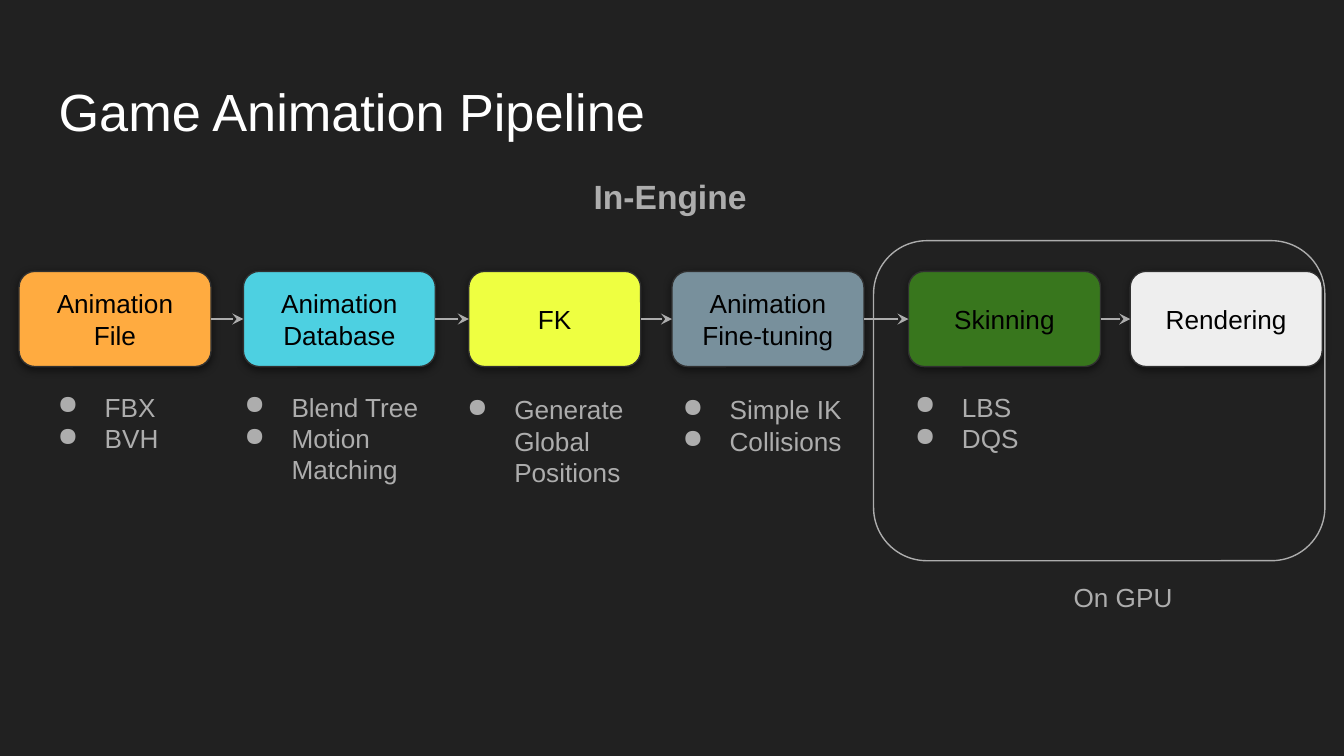
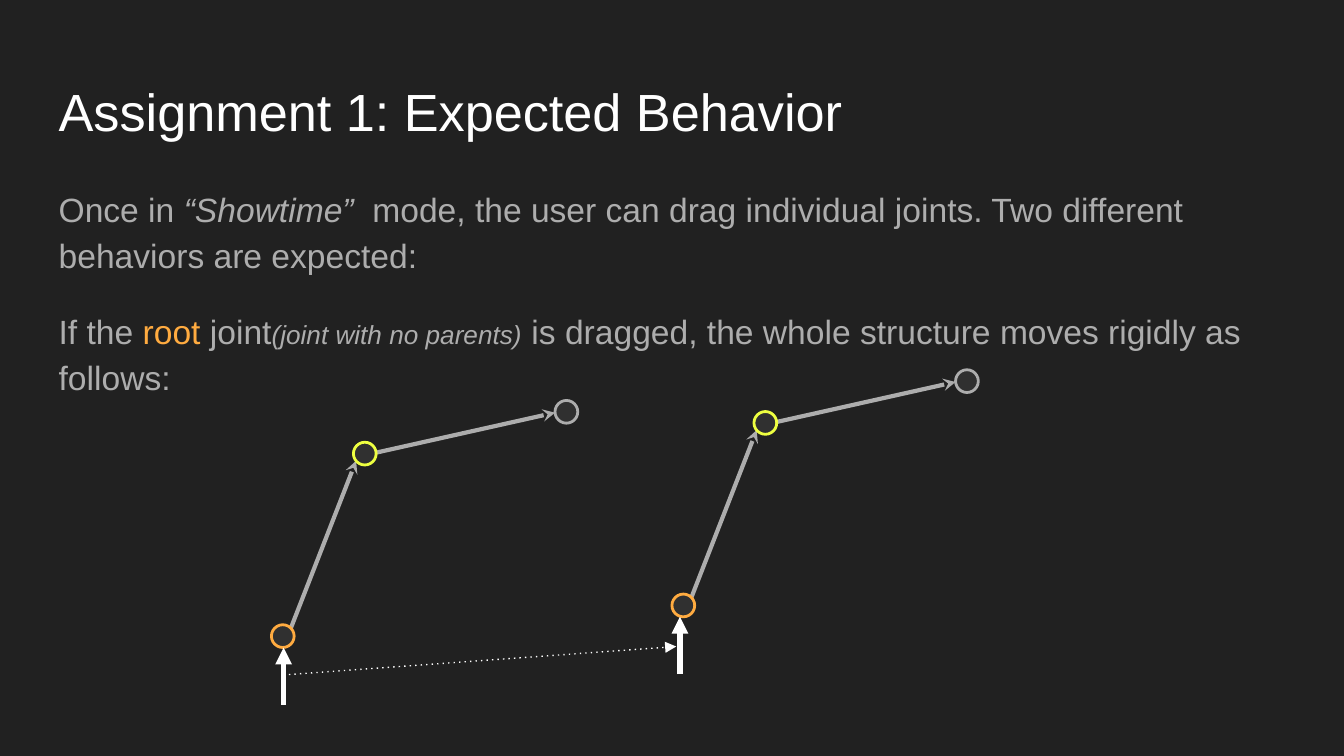
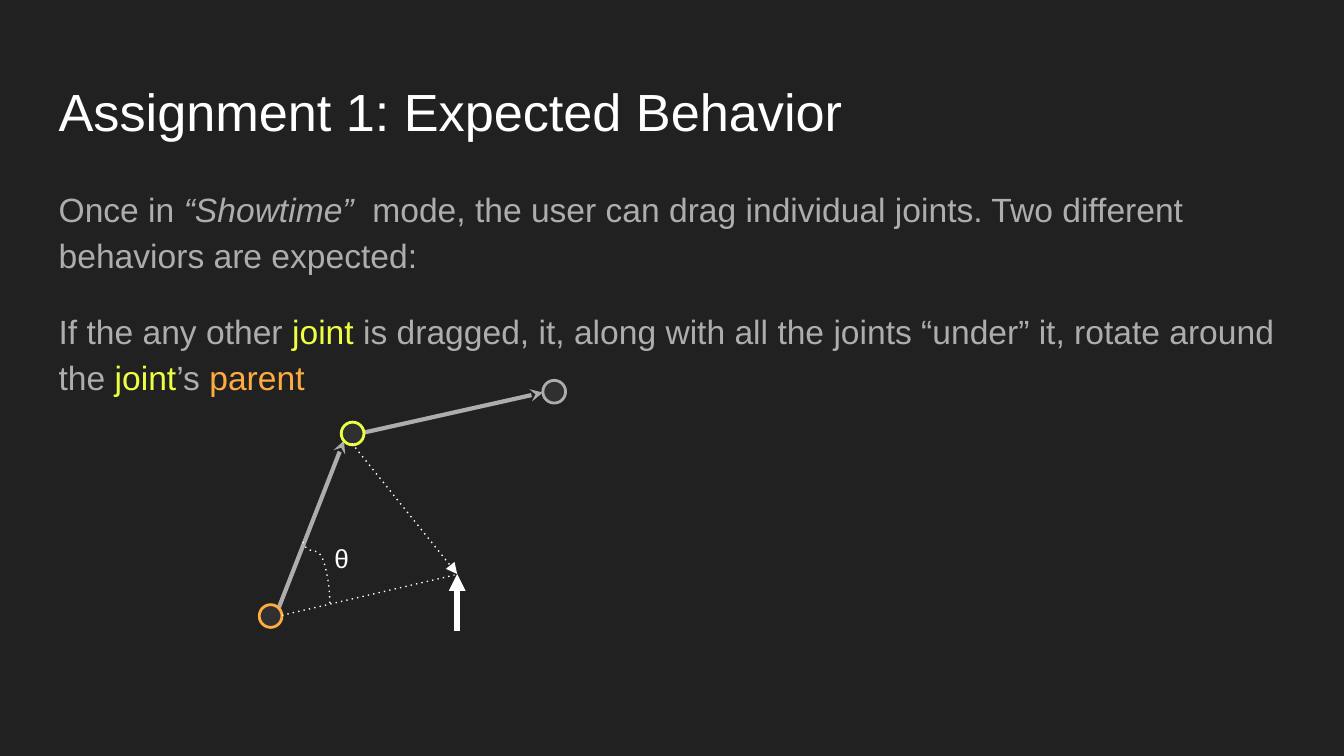
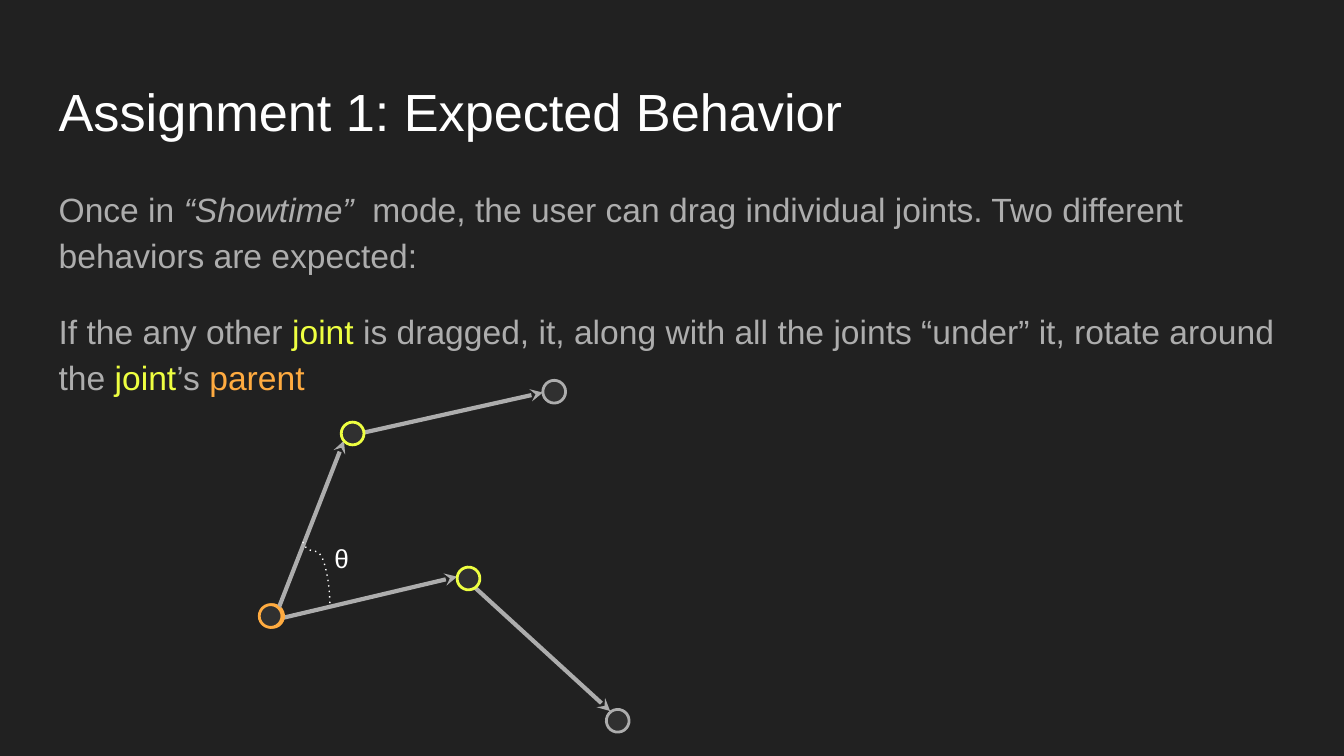
from dataclasses import dataclass
from itertools import pairwise

from lxml.etree import SubElement
from pptx import Presentation
from pptx.dml.color import RGBColor
from pptx.enum.shapes import MSO_CONNECTOR, MSO_SHAPE
from pptx.enum.text import MSO_ANCHOR, PP_ALIGN
from pptx.oxml.ns import qn
from pptx.util import Cm, Pt


@dataclass(frozen=True)
class Theme:
    """Colours, font and type sizes of the deck."""
    back: str = "212121"
    dark: str = "303030"
    grey: str = "ADADAD"
    white: str = "FFFFFF"
    black: str = "000000"
    orange: str = "FFAB40"
    yellow: str = "EEFF41"
    cyan: str = "4DD0E1"
    slate: str = "78909C"
    green: str = "38761D"
    pale: str = "EEEEEE"
    font: str = "Arial"
    head: int = 28
    body: int = 18
    small: int = 14


T = Theme()
HEAD = {"size": T.head, "color": T.white}
BODY = {"size": T.body, "color": T.grey}
SMALL = {"size": T.small, "color": T.grey}
LABEL = {"size": T.small, "color": T.black}
MARK = {"size": T.small, "color": T.white}

JOINT = 0.43  # diameter of a joint


def add(node, tag, **attrs):
    """Append an XML child with the given attributes."""
    return SubElement(node, qn(tag), {k: str(v) for k, v in attrs.items()})


class Deck:
    """Holds the theme and the current slide, and draws on it."""

    def __init__(self, theme):
        """Start an empty wide deck."""
        self.theme = theme
        self.prs = Presentation()
        self.prs.slide_width, self.prs.slide_height = Cm(25.4), Cm(14.29)

    def page(self, title):
        """Add a dark slide with its title."""
        self.slide = self.prs.slides.add_slide(self.prs.slide_layouts[6])
        fill = self.slide.background.fill
        fill.solid()
        fill.fore_color.rgb = RGBColor.from_string(self.theme.back)
        self.text((0.86, 1.25, 23.67, 1.6), [title], HEAD)

    def put(self, shape, paras, base, para=None, bullet=False):
        """Fill a shape with paragraphs, each a string or a list of runs."""
        frame = shape.text_frame
        frame.word_wrap = True
        for side in ("left", "top", "right", "bottom"):
            setattr(frame, f"margin_{side}", Cm(0.25))
        for i, runs in enumerate(paras):
            p = frame.add_paragraph() if i else frame.paragraphs[0]
            for key, value in (para or {}).items():
                setattr(p, key, value)
            if bullet:
                self.bullet(p)
            for words, style in [(runs, {})] if isinstance(runs, str) else runs:
                run = p.add_run()
                run.text = words
                self.style(run.font, base | style)
        return frame

    def style(self, font, form):
        """Set font values from a dict."""
        form = {"name": self.theme.font} | form
        font.color.rgb = RGBColor.from_string(form.pop("color"))
        form["size"] = Pt(form["size"])
        for key, value in form.items():
            setattr(font, key, value)

    def bullet(self, p):
        """Give a paragraph a hanging round bullet."""
        props = p._p.get_or_add_pPr()
        props.set("marL", str(Cm(1.27)))
        props.set("indent", str(Cm(-0.89)))
        add(add(props, "a:buClr"), "a:srgbClr", val=self.theme.grey)
        add(props, "a:buChar", char="●")

    def text(self, box, paras, base, **more):
        """Add a text box."""
        shape = self.slide.shapes.add_textbox(*map(Cm, box))
        return self.put(shape, paras, base, **more)

    def shape(self, kind, box, line, width, fill=None):
        """Add a preset shape with outline and optional fill."""
        shape = self.slide.shapes.add_shape(kind, *map(Cm, box))
        if fill:
            shape.fill.solid()
            shape.fill.fore_color.rgb = RGBColor.from_string(fill)
        else:
            shape.fill.background()
        shape.line.color.rgb = RGBColor.from_string(line)
        shape.line.width = Pt(width)
        shape.shadow.inherit = False
        return shape

    def card(self, box, fill, paras):
        """Add a labelled rounded box with a soft shadow."""
        shape = self.shape(MSO_SHAPE.ROUNDED_RECTANGLE, box,
                           self.theme.dark, 0.75, fill)
        effects = shape._element.spPr.find(qn("a:effectLst"))
        shade = add(effects, "a:outerShdw", blurRad=Pt(4.5), dist=Pt(1.5),
                    dir=5400000, algn="bl", rotWithShape=0)
        tone = add(shade, "a:srgbClr", val=self.theme.black)
        add(tone, "a:alpha", val=50000)
        frame = self.put(shape, paras, LABEL, {"alignment": PP_ALIGN.CENTER})
        frame.vertical_anchor = MSO_ANCHOR.MIDDLE

    def line(self, start, end, color, width, tip=None, dot=False,
             kind=MSO_CONNECTOR.STRAIGHT):
        """Add a connector with optional dots and arrowhead."""
        link = self.slide.shapes.add_connector(kind, *map(Cm, (*start, *end)))
        link.line.color.rgb = RGBColor.from_string(color)
        link.line.width = Pt(width)
        stroke = link.line._get_or_add_ln()
        if dot:
            add(stroke, "a:prstDash", val="dot")
        if tip:
            add(stroke, "a:tailEnd", type=tip, w="med", len="med")
        add(link._element.spPr, "a:effectLst")
        return link

    def dots(self, start, end, tip=None, **more):
        """Add a thin dotted white line."""
        return self.line(start, end, self.theme.white, 0.75, tip, True, **more)

    def cursor(self, x, y):
        """Add a thick white arrow pointing up at a spot."""
        self.line((x, y + 1.08), (x, y), self.theme.white, 3, "triangle")

    def chain(self, x, y, pose):
        """Draw root, middle and end joints with their bones."""
        for (a, b, c, d) in pose["bones"]:
            self.line((x + a, y + b), (x + c, y + d), self.theme.grey, 2.25,
                      "stealth")
        tones = (self.theme.orange, self.theme.yellow, self.theme.grey)
        for (dx, dy), tone in zip(pose["joints"], tones):
            ring = self.shape(MSO_SHAPE.OVAL, (x + dx, y + dy, JOINT, JOINT),
                              tone, 1.5, self.theme.dark)
            ring.rotation = pose["turn"]

    def angle(self):
        """Draw the dotted arc and its theta."""
        arc = self.dots((6.58, 10.59), (5.38, 11.1), kind=MSO_CONNECTOR.CURVE)
        props = arc._element.spPr
        props.find(qn("a:xfrm")).set("rot", str(270 * 60000))
        guides = props.find(qn("a:prstGeom")).find(qn("a:avLst"))
        add(guides, "a:gd", name="adj1", fmla="val 15100")
        self.text((6.07, 10.01, 0.76, 0.89), ["θ"], MARK)

    def task(self, rule):
        """Add an assignment slide: shared opening, then its rule."""
        self.page("Assignment 1: Expected Behavior")
        opening = [
            ("Once in ", {}), ("“Showtime”", {"italic": True}),
            ("  mode, the user can drag individual joints. "
             "Two different behaviors are expected:", {})]
        frame = self.text((0.86, 3.2, 23.67, 4.22), [opening, rule], BODY,
                          para={"line_spacing": 1.15})
        last = frame.paragraphs[1]
        last.space_before = last.space_after = Pt(16)


STRAIGHT = {
    "joints": [(0, 0), (1.55, -3.45), (5.36, -4.24)],
    "bones": [(0.36, 0.08, 1.6, -3.1), (1.96, -3.25, 5.36, -4.01)],
    "turn": 0,
}
BENT = {
    "joints": [(0, 0), (3.71, -0.71), (6.53, 1.98)],
    "bones": [(0.41, 0.25, 3.71, -0.53), (4.04, -0.33, 6.6, 2.01)],
    "turn": 55.3,
}

# left, width, fill, label, bullet box (left, top, width), bullets
STAGES = [
    (0.36, 3.63, T.orange, ["Animation", "File"],
     (0.46, 7.14, 3.45), ["FBX", "BVH"]),
    (4.6, 3.63, T.cyan, ["Animation Database"],
     (3.99, 7.14, 4.24), ["Blend Tree", "Motion Matching"]),
    (8.86, 3.25, T.yellow, ["FK"],
     (8.2, 7.19, 4.24), ["Generate Global Positions"]),
    (12.7, 3.63, T.slate, ["Animation", "Fine-tuning"],
     (12.27, 7.19, 4.24), ["Simple IK", "Collisions"]),
    (17.17, 3.63, T.green, ["Skinning"],
     (16.66, 7.14, 4.24), ["LBS", "DQS"]),
    (21.36, 3.63, T.pale, ["Rendering"], None, []),
]
TOP, TALL = 5.13, 1.8

ROOT_RULE = [
    ("If the ", {}), ("root ", {"color": T.orange}), ("joint", {}),
    ("(joint with no parents)", {"size": T.small, "italic": True}),
    (" is dragged, the whole structure moves rigidly as follows:", {})]
JOINT_RULE = [
    ("If the any other", {}), (" joint ", {"color": T.yellow}),
    ("is dragged, it, along with all the joints “under” it, "
     "rotate around the ", {}),
    ("joint", {"color": T.yellow}), ("’s ", {}),
    ("parent", {"color": T.orange})]


def pipeline(deck):
    """Build the pipeline slide."""
    deck.page("Game Animation Pipeline")
    deck.text((10.97, 3.07, 3.45, 1.8), ["In-Engine"], BODY | {"bold": True})
    for left, width, fill, label, spot, items in STAGES:
        deck.card((left, TOP, width, TALL), fill, label)
        if items:
            deck.text((*spot, TALL), items, SMALL, bullet=True)
    mid = TOP + TALL / 2
    for here, after in pairwise(STAGES):
        deck.line((here[0] + here[1], mid), (after[0], mid), T.grey, 1.5,
                  "stealth")
    deck.shape(MSO_SHAPE.ROUNDED_RECTANGLE, (16.51, 4.55, 8.53, 6.05),
               T.grey, 0.75)
    deck.text((20.04, 10.74, 2.51, 0.71), ["On GPU"], SMALL)


def drag(deck):
    """Build the slide on dragging the root."""
    deck.task(ROOT_RULE)
    for x, y in ((5.13, 11.81), (12.7, 11.23)):
        deck.chain(x, y, STRAIGHT)
    deck.cursor(5.36, 12.24)
    deck.cursor(12.85, 11.66)
    deck.dots((5.46, 12.75), (12.78, 12.22), "triangle")


def aim(deck):
    """Build the slide on dragging another joint."""
    deck.task(JOINT_RULE)
    deck.chain(4.9, 11.43, STRAIGHT)
    deck.dots((6.65, 8.38), (8.64, 10.85), "triangle")
    deck.cursor(8.64, 10.85)
    deck.dots((5.33, 11.63), (8.59, 10.87))
    deck.angle()


def turn(deck):
    """Build the slide with the rotated chain."""
    deck.task(JOINT_RULE)
    deck.chain(4.93, 11.43, BENT)
    deck.chain(4.9, 11.43, STRAIGHT)
    deck.angle()


deck = Deck(T)
for build in (pipeline, drag, aim, turn):
    build(deck)
deck.prs.save("out.pptx")
